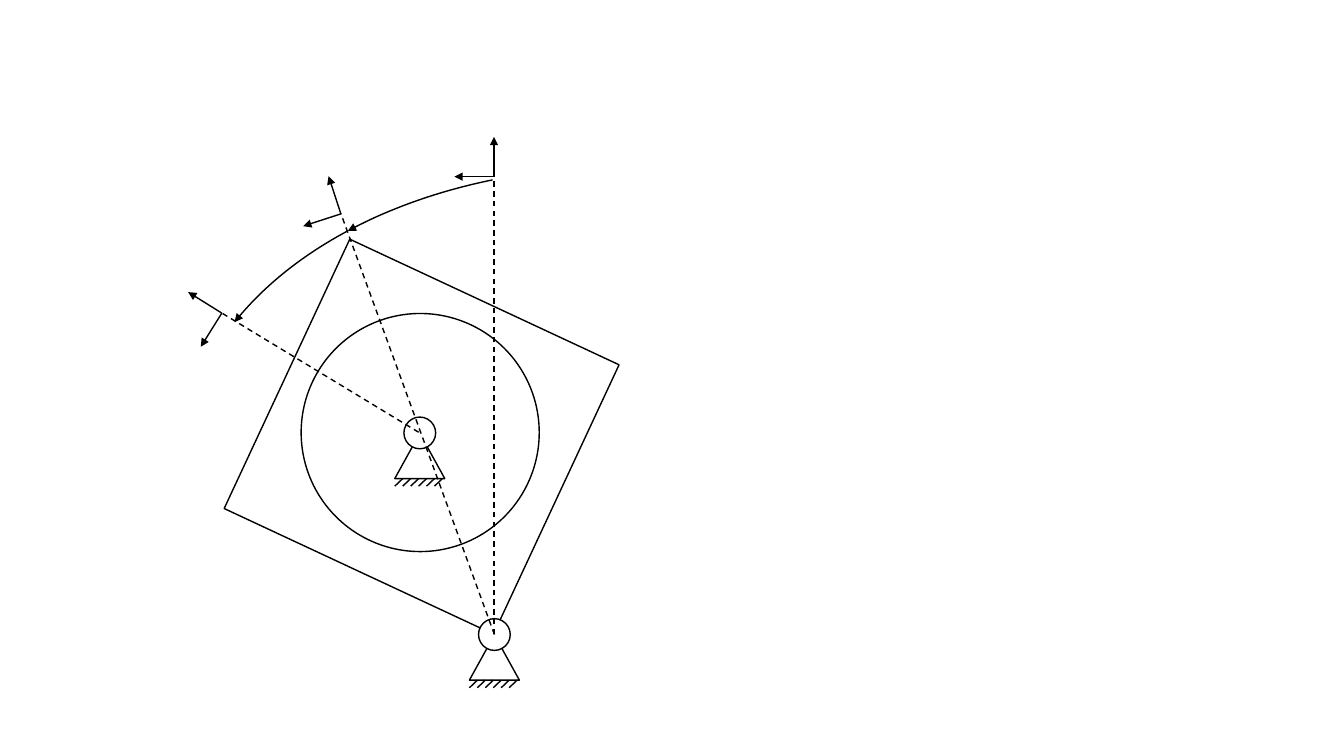
from math import cos, radians, sin

from lxml.etree import SubElement
from pptx import Presentation
from pptx.dml.color import RGBColor
from pptx.enum.dml import MSO_LINE
from pptx.enum.shapes import MSO_CONNECTOR, MSO_SHAPE
from pptx.oxml.ns import qn
from pptx.util import Cm, Pt

BLACK, WHITE = "000000", "FFFFFF"
UPPER_PIVOT = (10.58, 10.91)
LOWER_PIVOT = (12.46, 15.99)
FRAMES = [(12.45, 4.45, 0), (8.59, 5.39, 18), (5.59, 7.89, 58)]
SWINGS = [(220.5, 246), (200, 220.4)]


def rgb(color):
    """Turn a hex string into a colour."""
    return RGBColor.from_string(color)


def set_line(line):
    """Give a line its black one-point stroke."""
    line.color.rgb = rgb(BLACK)
    line.width = Pt(1)


def add_arrowhead(sp, end):
    """Put a triangular arrowhead on headEnd or tailEnd."""
    ln = sp.line._get_or_add_ln()
    SubElement(ln, qn(f"a:{end}"), type="triangle")


def add_outline(shapes, kind, x, y, w, h):
    """Add a white preset shape with a black outline, in centimetres."""
    sp = shapes.add_shape(kind, Cm(x), Cm(y), Cm(w), Cm(h))
    sp.shadow.inherit = False
    sp.fill.solid()
    sp.fill.fore_color.rgb = rgb(WHITE)
    set_line(sp.line)
    return sp


def add_line(shapes, start, end, dashed=False, arrow=False):
    """Add a straight line between two points, in centimetres."""
    points = [Cm(v) for v in (*start, *end)]
    cxn = shapes.add_connector(MSO_CONNECTOR.STRAIGHT, *points)
    set_line(cxn.line)
    if dashed:
        cxn.line.dash_style = MSO_LINE.DASH
    if arrow:
        add_arrowhead(cxn, "tailEnd")
    SubElement(cxn._element.spPr, qn("a:effectLst"))


def add_support(shapes, pivot):
    """Add a grounded pin joint whose ring is centred on the pivot."""
    x, y = pivot
    left, ground = x - 0.63, y + 1.15
    parts = shapes.add_group_shape().shapes
    add_outline(parts, MSO_SHAPE.ISOSCELES_TRIANGLE, left, y + 0.01, 1.26, 1.14)
    add_outline(parts, MSO_SHAPE.OVAL, x - 0.4, y - 0.4, 0.8, 0.8)
    for i in range(6):
        foot = left + 0.2 * i
        add_line(parts, (foot + 0.2, ground), (foot, ground + 0.19))


def add_frame(shapes, x, y, angle):
    """Add a pair of unit axes turned anticlockwise by an angle in degrees."""
    s, c = sin(radians(angle)), cos(radians(angle))
    axes = shapes.add_group_shape().shapes
    for dx, dy in ((-s, -c), (-c, s)):
        add_line(axes, (x, y), (x + dx, y + dy), arrow=True)


def add_swing(shapes, start, end):
    """Add an arc with an arrowhead at its start angle."""
    sp = add_outline(shapes, MSO_SHAPE.ARC, 4.6, 4.22, 21.95, 14.83)
    sp.fill.background()
    for i, angle in enumerate((start, end)):
        sp.adjustments[i] = angle * 60000 / 100000
    add_arrowhead(sp, "headEnd")


def main():
    """Build the mechanism slide and save it."""
    prs = Presentation()
    prs.slide_width, prs.slide_height = Cm(33.87), Cm(19.05)
    shapes = prs.slides.add_slide(prs.slide_layouts[6]).shapes

    body = add_outline(shapes, MSO_SHAPE.RECTANGLE, 6.88, 7.26, 7.49, 7.49)
    body.rotation = 25
    add_support(shapes, LOWER_PIVOT)
    add_outline(shapes, MSO_SHAPE.OVAL, 7.59, 7.9, 6, 6)
    add_line(shapes, (12.45, 15.98), (12.45, 4.47), dashed=True)
    add_support(shapes, UPPER_PIVOT)
    add_line(shapes, LOWER_PIVOT, (8.59, 5.38), dashed=True)
    add_line(shapes, (5.61, 7.9), UPPER_PIVOT, dashed=True)
    for frame in FRAMES:
        add_frame(shapes, *frame)
    for swing in SWINGS:
        add_swing(shapes, *swing)

    prs.save("out.pptx")


if __name__ == "__main__":
    main()
